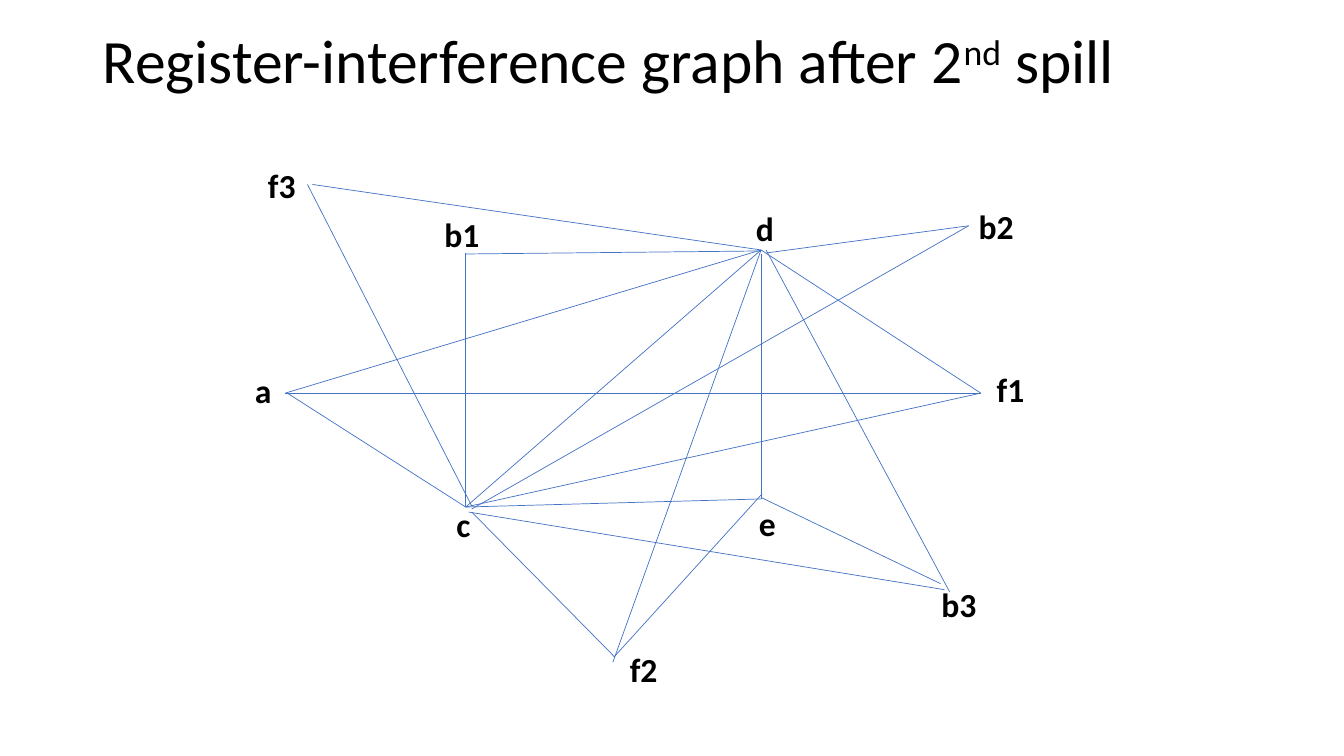
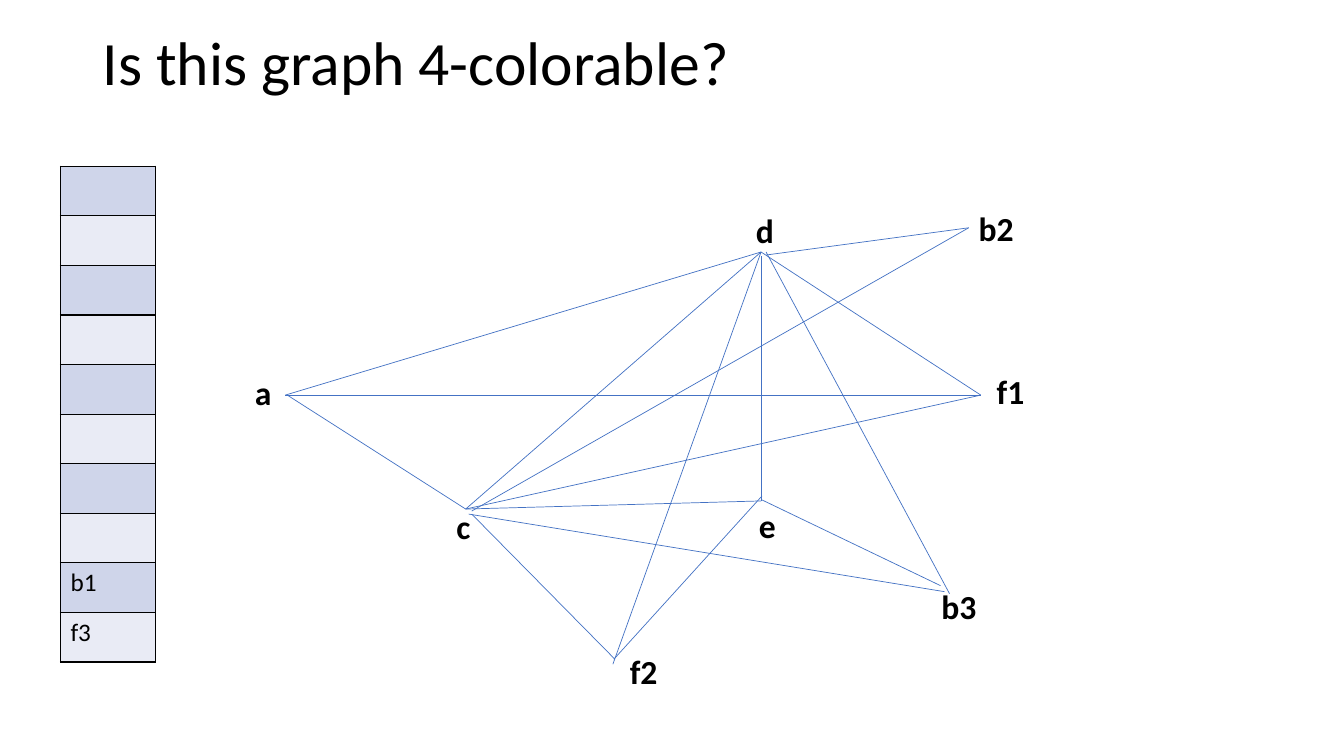
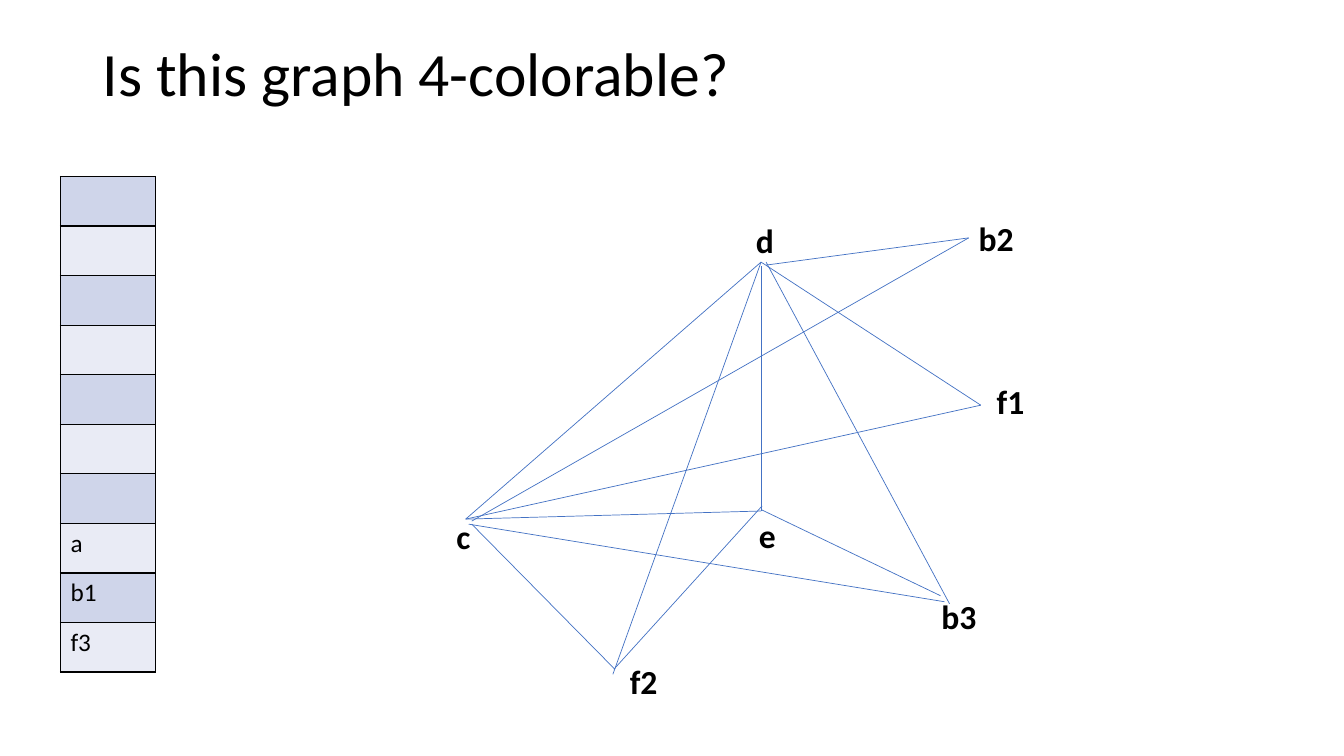
"""Build three slides that simplify a register-interference graph step by step."""
from typing import NamedTuple

from lxml import etree
from pptx import Presentation
from pptx import util as u
from pptx.dml.color import RGBColor
from pptx.enum import shapes, text
from pptx.oxml.ns import qn

COLORS = {
    "ink": "000000",
    "edge": "4472C4",
    "band_dark": "CFD5EA",
    "band_light": "E9EBF5",
}
FONT = "Calibri"
GRID = 0.1
SLIDE_COLUMNS, SLIDE_ROWS = 133.33, 75
LABEL_COLUMNS, LABEL_ROWS = 8.7, 5
STACK_SLOTS = 10


class Node(NamedTuple):
    name: str
    column: float
    row: float


class Edge(NamedTuple):
    source: str
    target: str
    start: tuple[float, float]
    end: tuple[float, float]


class Step(NamedTuple):
    title: tuple[str, ...]
    drop: float
    stack: tuple[str, ...]


NODES = (
    Node("a", 24.3, 36.2),
    Node("b1", 43.1, 20.7),
    Node("b2", 96.1, 19.9),
    Node("b3", 92.4, 57.4),
    Node("c", 44.3, 49.5),
    Node("d", 74, 20.1),
    Node("e", 74.3, 49.4),
    Node("f1", 97.9, 36.1),
    Node("f2", 61.5, 63.9),
    Node("f3", 25.6, 15.9),
)
EDGES = (
    Edge("d", "f1", (75.5, 24.8), (97.3, 39)),
    Edge("c", "f1", (46.2, 50.3), (97.3, 39)),
    Edge("c", "d", (46.2, 50.3), (75.5, 24.8)),
    Edge("a", "d", (28.3, 39), (75.5, 24.8)),
    Edge("a", "c", (28.5, 39), (46.2, 50.3)),
    Edge("a", "f1", (28.3, 39), (97.3, 39)),
    Edge("d", "e", (75.5, 25.2), (75.5, 49.5)),
    Edge("c", "e", (46.2, 50.3), (75.5, 49.5)),
    Edge("b1", "c", (46.2, 25.1), (46.2, 50.3)),
    Edge("b1", "d", (46.2, 25.2), (75.5, 24.9)),
    Edge("c", "b2", (46.8, 50.5), (96.1, 22.4)),
    Edge("d", "b2", (76, 25.1), (96.1, 22.4)),
    Edge("e", "b3", (75.6, 49.4), (93.3, 57.9)),
    Edge("c", "b3", (46.5, 50.8), (93.7, 58.5)),
    Edge("d", "b3", (76, 24.8), (94.2, 58.7)),
    Edge("d", "f2", (75.5, 24.8), (60.8, 65.7)),
    Edge("c", "f2", (46.8, 50.8), (61, 65.2)),
    Edge("e", "f2", (75.6, 49), (60.9, 65.2)),
    Edge("c", "f3", (46.8, 50.2), (30.5, 18.3)),
    Edge("f3", "d", (31, 18.3), (75.5, 24.8)),
)
QUESTION = ("Is this graph 4-colorable?",)
STEPS = (
    Step(("Register-interference graph after 2", "nd", " spill"), 0, ()),
    Step(QUESTION, 0.2, ("b1", "f3")),
    Step(QUESTION, 1.2, ("a", "b1", "f3")),
)


def cells(count: float) -> u.Emu:
    return u.Inches(count * GRID)


def color(name: str) -> RGBColor:
    return RGBColor.from_string(COLORS[name])


def style_paragraph(paragraph, size: float, bold: bool = False) -> None:
    font = paragraph.font
    font.name, font.size, font.bold = FONT, u.Pt(size), bold
    font.color.rgb = color("ink")


def draw_title(slide, step: Step) -> None:
    title = slide.shapes.title
    title.left, title.top = cells(9.2), cells(step.drop - 0.9)
    title.width, title.height = cells(115), cells(14.5)
    frame = title.text_frame
    frame.word_wrap = True
    frame.auto_size = text.MSO_AUTO_SIZE.NONE
    frame.vertical_anchor = text.MSO_ANCHOR.MIDDLE
    paragraph = frame.paragraphs[0]
    paragraph.alignment = text.PP_ALIGN.LEFT
    paragraph.line_spacing = 0.9
    style_paragraph(paragraph, 44)
    for index, part in enumerate(step.title):
        run = paragraph.add_run()
        run.text = part
        if index == 1:
            run.font._element.set("baseline", "30000")


def draw_edge(slide, edge: Edge, drop: float) -> None:
    (start_column, start_row), (end_column, end_row) = edge.start, edge.end
    connector = slide.shapes.add_connector(
        shapes.MSO_CONNECTOR.STRAIGHT,
        cells(start_column), cells(start_row + drop),
        cells(end_column), cells(end_row + drop),
    )
    connector.line.color.rgb = color("edge")
    connector.line.width = u.Pt(0.5)
    etree.SubElement(connector._element.spPr, qn("a:effectLst"))


def draw_node(slide, node: Node, drop: float) -> None:
    label = slide.shapes.add_textbox(
        cells(node.column), cells(node.row + drop), cells(LABEL_COLUMNS), cells(LABEL_ROWS)
    )
    frame = label.text_frame
    frame.word_wrap = True
    frame.auto_size = text.MSO_AUTO_SIZE.SHAPE_TO_FIT_TEXT
    frame.text = node.name
    style_paragraph(frame.paragraphs[0], 24, bold=True)


def add_borders(cell) -> None:
    properties = cell._tc.get_or_add_tcPr()
    for position, side in enumerate(("lnL", "lnR", "lnT", "lnB")):
        border = etree.Element(qn(f"a:{side}"), w=str(u.Pt(1)))
        fill = etree.SubElement(border, qn("a:solidFill"))
        etree.SubElement(fill, qn("a:srgbClr"), val=COLORS["ink"])
        properties.insert(position, border)


def draw_stack(slide, names: tuple[str, ...], drop: float) -> None:
    table = slide.shapes.add_table(
        STACK_SLOTS, 1, cells(6), cells(16.3 + drop), cells(9.4), cells(49.2)
    ).table
    table.first_row = table.horz_banding = False
    slots = ("",) * (STACK_SLOTS - len(names)) + names
    for index, name in enumerate(slots):
        cell = table.cell(index, 0)
        cell.fill.solid()
        cell.fill.fore_color.rgb = color("band_light" if index % 2 else "band_dark")
        add_borders(cell)
        cell.text = name
        style_paragraph(cell.text_frame.paragraphs[0], 18)


def draw_step(presentation, step: Step) -> None:
    slide = presentation.slides.add_slide(presentation.slide_layouts.get_by_name("Title Only"))
    draw_title(slide, step)
    for edge in EDGES:
        if not {edge.source, edge.target} & set(step.stack):
            draw_edge(slide, edge, step.drop)
    for node in NODES:
        if node.name not in step.stack:
            draw_node(slide, node, step.drop)
    if step.stack:
        draw_stack(slide, step.stack, step.drop)


def main() -> None:
    presentation = Presentation()
    presentation.slide_width = cells(SLIDE_COLUMNS)
    presentation.slide_height = cells(SLIDE_ROWS)
    for step in STEPS:
        draw_step(presentation, step)
    presentation.save("out.pptx")


if __name__ == "__main__":
    main()
